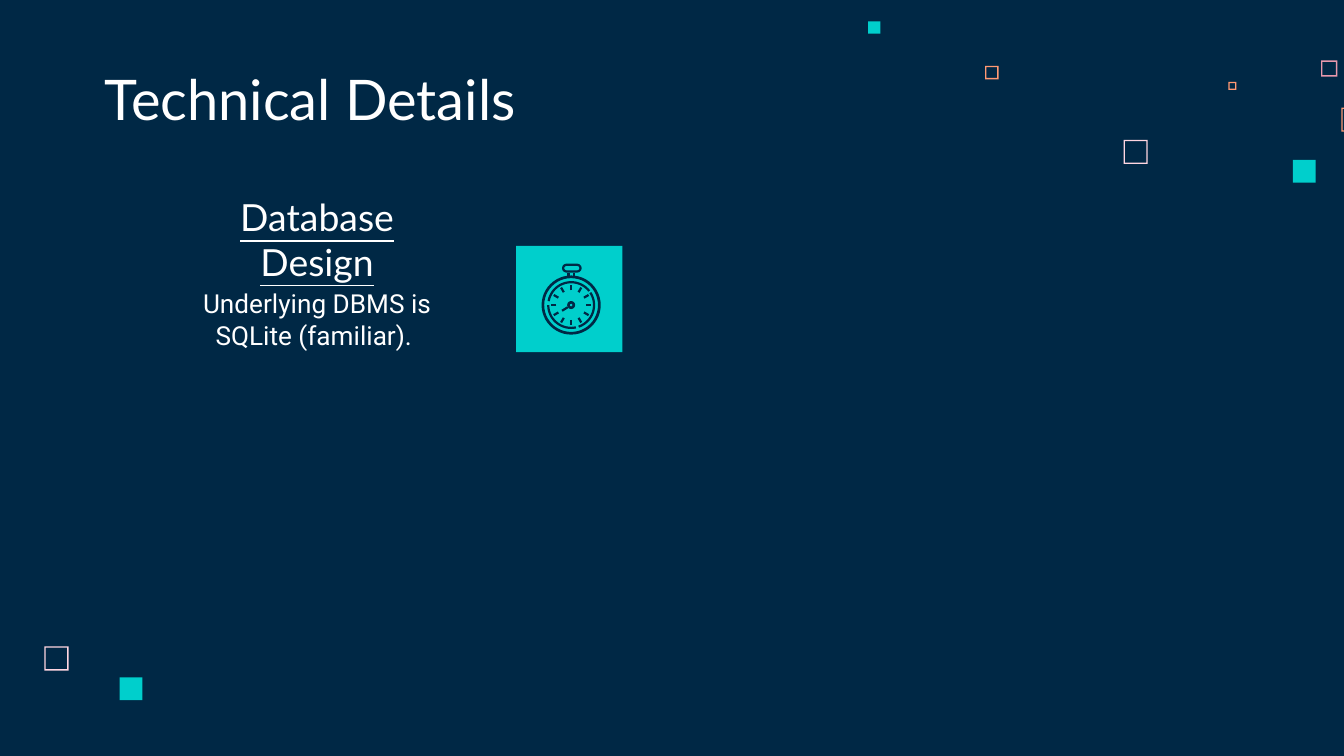
from math import cos, radians, sin

from lxml.etree import SubElement
from pptx import Presentation
from pptx.dml.color import RGBColor
from pptx.enum.shapes import MSO_CONNECTOR as Connector, MSO_SHAPE as Shape
from pptx.enum.text import MSO_ANCHOR as Anchor, MSO_AUTO_SIZE as AutoSize, PP_ALIGN as Align
from pptx.oxml.ns import qn
from pptx.util import Inches, Pt

NAVY, TEAL, WHITE = "002845", "00CFCC", "FFFFFF"
PINK, ROSE, ORANGE = "FFD6E1", "E898AC", "FF9973"
color = RGBColor.from_string


def write(box, text, left, top, width, height, size, font="Lato",
          align=Align.CENTER, anchor=Anchor.BOTTOM, underline=False):
    box.left, box.top = Inches(left), Inches(top)
    box.width, box.height = Inches(width), Inches(height)
    frame = box.text_frame
    frame.word_wrap, frame.auto_size = True, AutoSize.NONE
    frame.vertical_anchor = anchor
    frame.margin_left = frame.margin_right = Inches(0.1)
    frame.margin_top = frame.margin_bottom = Inches(0.1)
    para = frame.paragraphs[0]
    para.alignment, para.space_before = align, Pt(0)
    span = para.add_run()
    span.text = text
    span.font.name, span.font.size = font, Pt(size)
    span.font.underline = underline
    span.font.color.rgb = color(WHITE)


def add_solid(shapes, kind, left, top, width, height, fill):
    shape = shapes.add_shape(kind, Inches(left), Inches(top), Inches(width), Inches(height))
    shape.shadow.inherit = False
    shape.fill.solid()
    shape.fill.fore_color.rgb = color(fill)
    shape.line.fill.background()
    return shape


# Widescreen page, 16:9
deck = Presentation()
deck.slide_width, deck.slide_height = Inches(10), Inches(10 * 9 / 16)
page = deck.slides.add_slide(deck.slide_layouts[0])
page.background.fill.solid()
page.background.fill.fore_color.rgb = color(NAVY)

# Scattered hollow squares
for left, top, side, fill in [
    (8.36, 1.04, 0.18, PINK), (9.83, 0.45, 0.12, ROSE), (9.14, 0.61, 0.06, ORANGE),
    (9.98, 0.8, 0.18, ORANGE), (7.33, 0.49, 0.1, ORANGE), (0.33, 4.81, 0.18, PINK),
]:
    square = add_solid(page.shapes, Shape.FRAME, left, top, side, side, fill)
    square.adjustments[0] = 0.01 / side

# Scattered solid squares
for left, top, side in [(9.62, 1.19, 0.17), (6.46, 0.16, 0.09), (0.89, 5.04, 0.17)]:
    add_solid(page.shapes, Shape.RECTANGLE, left, top, side, side, TEAL)

# Title, heading and description
title, description = page.placeholders
write(title, "Technical Details", 0.68, 0.45, 6.44, 0.63, 30, align=Align.LEFT)
heading = page.shapes.add_textbox(0, 0, 0, 0)
write(heading, "Database Design", 1.33, 1.5, 2.06, 0.71, 20, underline=True)
write(description, "Underlying DBMS is SQLite (familiar). ", 1.33, 2.04, 2.06, 0.71, 14,
      font="Roboto", anchor=Anchor.TOP)

# Stopwatch tile
add_solid(page.shapes, Shape.RECTANGLE, 3.84, 1.83, 0.79, 0.79, TEAL)
watch = page.shapes.add_group_shape().shapes
center_x, center_y = 4.25, 2.27


def on_dial(angle, radius):
    """Point at an angle in degrees, clockwise from three o'clock."""
    turn = radians(angle)
    return Inches(center_x + radius * cos(turn)), Inches(center_y + radius * sin(turn))


# Case and hub
for radius, thickness in [(0.22, 0.02), (0.03, 0.02)]:
    ring = add_solid(watch, Shape.DONUT, center_x - radius, center_y - radius,
                     2 * radius, 2 * radius, NAVY)
    ring.adjustments[0] = thickness / (2 * radius)

# Crown
crown = watch.add_shape(Shape.ROUNDED_RECTANGLE, Inches(4.19), Inches(1.97),
                        Inches(0.13), Inches(0.05))
crown.adjustments[0] = 0.5
crown.shadow.inherit = False
crown.fill.background()
crown.line.color.rgb, crown.line.width = color(NAVY), Pt(1.2)

# Inner rim in three arcs
for start, end in [(190, 322), (327, 431), (78, 180)]:
    points = [on_dial(angle, 0.17) for angle in range(start, end + 1, 2)]
    builder = watch.build_freeform(*points[0])
    builder.add_line_segments(points[1:], close=False)
    arc = builder.convert_to_shape()
    arc.shadow.inherit = False
    arc.fill.background()
    arc.line.color.rgb, arc.line.width = color(NAVY), Pt(1.2)

# Hour ticks, hand and stem
strokes = [(on_dial(angle, 0.11), on_dial(angle, 0.15)) for angle in range(0, 360, 30)]
strokes.append((on_dial(148, 0.03), on_dial(148, 0.08)))
strokes += [((Inches(x), Inches(2.03)), (Inches(x), Inches(2.06))) for x in (4.23, 4.27)]
for start, end in strokes:
    stroke = watch.add_connector(Connector.STRAIGHT, *start, *end)
    stroke.line.color.rgb, stroke.line.width = color(NAVY), Pt(1.2)
    SubElement(stroke._element.spPr, qn("a:effectLst"))

deck.save("out.pptx")
